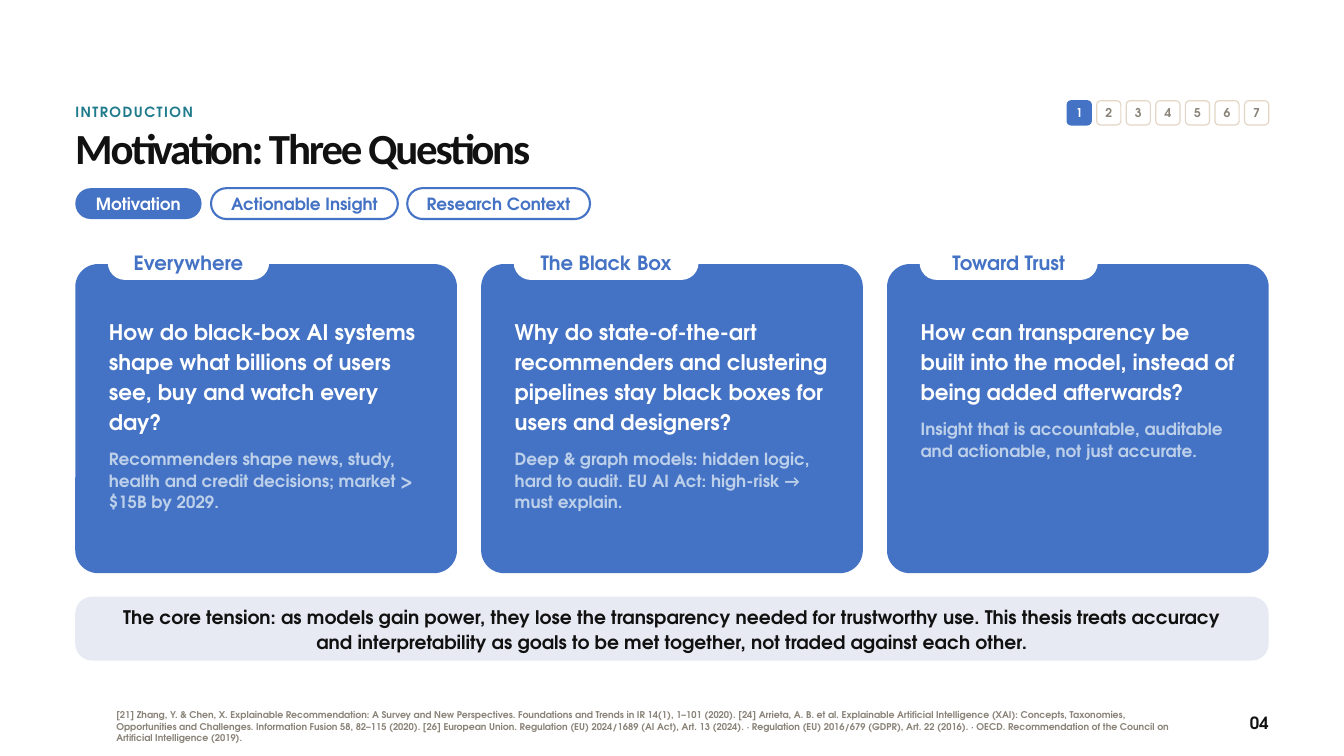
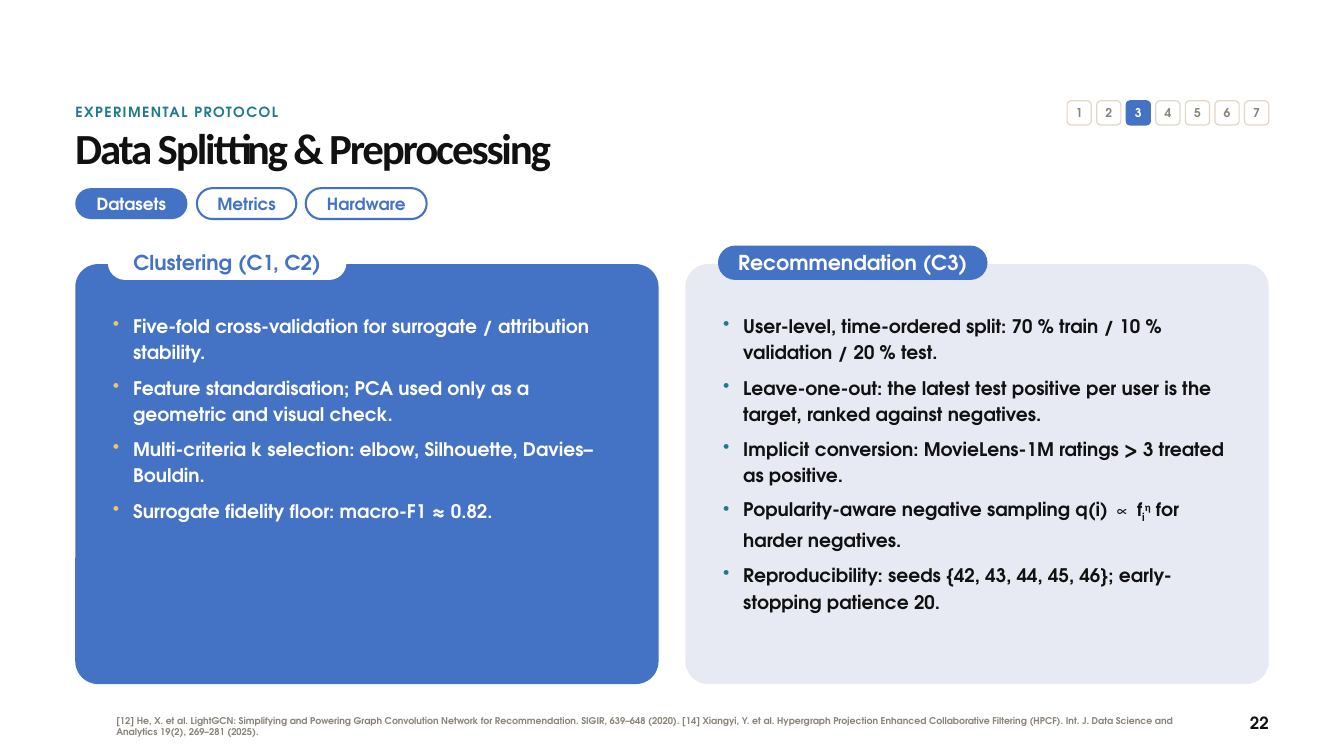
from lxml import etree
from pptx import Presentation
from pptx.dml.color import RGBColor
from pptx.enum.shapes import MSO_SHAPE
from pptx.enum.text import MSO_ANCHOR, PP_ALIGN
from pptx.oxml.ns import qn
from pptx.util import Inches, Pt

ROUNDED = MSO_SHAPE.ROUNDED_RECTANGLE
TOP, MIDDLE = MSO_ANCHOR.TOP, MSO_ANCHOR.MIDDLE
LEFT, CENTER, RIGHT = PP_ALIGN.LEFT, PP_ALIGN.CENTER, PP_ALIGN.RIGHT

BLUE = RGBColor(0x44, 0x72, 0xC4)
PALE = RGBColor(0xE7, 0xEA, 0xF3)
SKY = RGBColor(0xBD, 0xD0, 0xEA)
TEAL = RGBColor(0x1F, 0x7A, 0x8C)
GOLD = RGBColor(0xEC, 0xC6, 0x65)
SAND = RGBColor(0xE3, 0xD6, 0xC4)
GREY = RGBColor(0x8A, 0x83, 0x78)
INK = RGBColor(0x11, 0x11, 0x11)
WHITE = RGBColor(0xFF, 0xFF, 0xFF)

BODY, HEADING, MATH = "TeX Gyre Adventor", "Calibri", "Times New Roman"

SLIDE_W, SLIDE_H = 20, 11.25
MARGIN = 1.12
CONTENT_W = SLIDE_W - 2 * MARGIN
RIGHT_EDGE = SLIDE_W - MARGIN
CARD_TOP, CARD_RADIUS = 3.93, 0.34
CARD_INSET = 0.5
TAB_RISE, TAB_H = 0.26, 0.48
CHIP_TOP, CHIP_H, CHIP_GAP = 2.8, 0.46, 0.14
STEP_SIZE, STEP_PITCH, STEP_COUNT = 0.36, 0.44, 7

QUESTIONS = [
    ("Everywhere", 2.37,
     "How do black-box AI systems shape what billions of users see, buy and watch every day?",
     "Recommenders shape news, study, health and credit decisions; market > $15B by 2029."),
    ("The Black Box", 2.72,
     "Why do state-of-the-art recommenders and clustering pipelines stay black boxes "
     "for users and designers?",
     [("Deep & graph models: hidden logic, hard to audit. EU AI Act: high-risk ", BODY, 0),
      ("→ ", HEADING, 0), ("must explain.", BODY, 0)]),
    ("Toward Trust", 2.62,
     "How can transparency be built into the model, instead of being added afterwards?",
     "Insight that is accountable, auditable and actionable, not just accurate."),
]
CORE_TENSION = (
    "The core tension: as models gain power, they lose the transparency needed for "
    "trustworthy use. This thesis treats accuracy and interpretability as goals to be "
    "met together, not traded against each other.")
MOTIVATION_SOURCES = (
    "[21] Zhang, Y. & Chen, X. Explainable Recommendation: A Survey and New Perspectives. "
    "Foundations and Trends in IR 14(1), 1–101 (2020). [24] Arrieta, A. B. et al. "
    "Explainable Artificial Intelligence (XAI): Concepts, Taxonomies, Opportunities and "
    "Challenges. Information Fusion 58, 82–115 (2020). [26] European Union. Regulation "
    "(EU) 2024/1689 (AI Act), Art. 13 (2024). · Regulation (EU) 2016/679 (GDPR), "
    "Art. 22 (2016). · OECD. Recommendation of the Council on Artificial "
    "Intelligence (2019).")

CLUSTERING = [
    "Five-fold cross-validation for surrogate / attribution stability.",
    "Feature standardisation; PCA used only as a geometric and visual check.",
    "Multi-criteria k selection: elbow, Silhouette, Davies–Bouldin.",
    "Surrogate fidelity floor: macro-F1 ≈ 0.82.",
]
RECOMMENDATION = [
    "User-level, time-ordered split: 70 % train / 10 % validation / 20 % test.",
    "Leave-one-out: the latest test positive per user is the target, ranked against negatives.",
    "Implicit conversion: MovieLens-1M ratings > 3 treated as positive.",
    [("Popularity-aware negative sampling q(i) ", BODY, 0), ("∝ ", MATH, 0), ("f", BODY, 0),
     ("i", BODY, -25), ("η", HEADING, 30), (" for harder negatives.", BODY, 0)],
    "Reproducibility: seeds {42, 43, 44, 45, 46}; early-stopping patience 20.",
]
PROTOCOLS = [
    ("Clustering (C1, C2)", 3.52, CLUSTERING, BLUE, WHITE, BLUE, WHITE, GOLD),
    ("Recommendation (C3)", 3.98, RECOMMENDATION, PALE, BLUE, WHITE, INK, TEAL),
]
SPLITTING_SOURCES = (
    "[12] He, X. et al. LightGCN: Simplifying and Powering Graph Convolution Network for "
    "Recommendation. SIGIR, 639–648 (2020). [14] Xiangyi, Y. et al. Hypergraph Projection "
    "Enhanced Collaborative Filtering (HPCF). Int. J. Data Science and Analytics 19(2), "
    "269–281 (2025).")


def set_frame(shape, anchor, inset_x=0, inset_y=0):
    """Wrap the text of a shape and fix its anchor and insets."""
    frame = shape.text_frame
    frame.word_wrap = True
    frame.vertical_anchor = anchor
    frame.margin_left = frame.margin_right = Inches(inset_x)
    frame.margin_top = frame.margin_bottom = Inches(inset_y)
    return shape


def text_area(slide, left, top, width, height, anchor=TOP):
    """Add an empty text box without insets."""
    box = slide.shapes.add_textbox(*map(Inches, (left, top, width, height)))
    return set_frame(box, anchor)


def panel(slide, left, top, width, height, radius, fill=None, edge=None, weight=2.25,
          inset_x=0.05, inset_y=0):
    """Add a rounded rectangle whose corner radius is given in inches."""
    shape = slide.shapes.add_shape(ROUNDED, *map(Inches, (left, top, width, height)))
    shape.adjustments[0] = radius / min(width, height)
    shape.shadow.inherit = False
    if fill is None:
        shape.fill.background()
    else:
        shape.fill.solid()
        shape.fill.fore_color.rgb = fill
    if edge is None:
        shape.line.fill.background()
    else:
        shape.line.color.rgb = edge
        shape.line.width = Pt(weight)
    return set_frame(shape, MIDDLE, inset_x, inset_y)


def add_bullet(paragraph, color):
    """Give a paragraph a hanging coloured bullet."""
    properties = paragraph._p.get_or_add_pPr()
    properties.set("marL", str(Inches(0.3)))
    properties.set("indent", str(-Inches(0.3)))
    tint = etree.SubElement(properties, qn("a:buClr"))
    etree.SubElement(tint, qn("a:srgbClr"), val=str(color))
    etree.SubElement(properties, qn("a:buChar"), char="•")


def write(shape, text, size, color, leading, font=BODY, align=LEFT, before=0, tracking=0,
          bullet=None):
    """Append a paragraph given as a string or as (text, font, baseline) pieces."""
    frame = shape.text_frame
    paragraph = frame.paragraphs[0]
    if paragraph.runs:
        paragraph = frame.add_paragraph()
        paragraph.space_before = Pt(before)
    if bullet is not None:
        add_bullet(paragraph, bullet)
    paragraph.alignment = align
    paragraph.line_spacing = Pt(leading)
    pieces = [(text, font, 0)] if isinstance(text, str) else text
    for words, face, baseline in pieces:
        run = paragraph.add_run()
        run.text = words
        run.font.name = face
        run.font.size = Pt(size)
        run.font.bold = True
        run.font.color.rgb = color
        properties = run._r.get_or_add_rPr()
        if tracking:
            properties.set("spc", str(round(tracking * 100)))
        if baseline:
            properties.set("baseline", str(baseline * 1000))


def columns(count, gap):
    """Return the left edges and the width of equal columns across the content."""
    width = (CONTENT_W - gap * (count - 1)) / count
    return [MARGIN + i * (width + gap) for i in range(count)], width


def add_steps(slide, current):
    """Draw the numbered section squares at the top right."""
    start = RIGHT_EDGE - STEP_SIZE - STEP_PITCH * (STEP_COUNT - 1)
    for number in range(1, STEP_COUNT + 1):
        fill, edge, ink = (BLUE, BLUE, WHITE) if number == current else (WHITE, SAND, GREY)
        step = panel(slide, start + (number - 1) * STEP_PITCH, 1.5, STEP_SIZE, STEP_SIZE,
                     0.06, fill, edge, weight=1.25, inset_x=0)
        write(step, str(number), 13, ink, 15, align=CENTER)


def add_chips(slide, chips):
    """Draw the topic chips in a row with the first one active."""
    left = MARGIN
    for index, (label, width) in enumerate(chips):
        fill, edge, ink = (None, BLUE, BLUE) if index else (BLUE, None, WHITE)
        chip = panel(slide, left, CHIP_TOP, width, CHIP_H, CHIP_H / 2, fill, edge)
        write(chip, label, 18, ink, 21.6, align=CENTER)
        left += width + CHIP_GAP


def add_card(slide, left, width, height, label, tab_width, size, fill, tab_fill, tab_ink):
    """Draw a card with a label tab over its top edge."""
    panel(slide, left, CARD_TOP, width, height, CARD_RADIUS, fill)
    tab = panel(slide, left + CARD_INSET, CARD_TOP - TAB_RISE, tab_width, TAB_H, TAB_H / 2,
                tab_fill, tab_fill)
    write(tab, label, size, tab_ink, size * 1.2, align=CENTER)


def start_slide(deck, section, title, step, chips, sources, page):
    """Add a slide with the shared header and footer."""
    slide = deck.slides.add_slide(deck.slide_layouts[6])
    write(text_area(slide, 1.73, 10.5, 15.85, 0.62, MIDDLE), sources, 10, GREY, 12)
    write(text_area(slide, RIGHT_EDGE - 1.2, 10.6, 1.2, 0.36), page, 18, INK, 22, align=RIGHT)
    write(text_area(slide, MARGIN, 1.52, 14.15, 0.36), section, 15, TEAL, 20, tracking=1.6)
    add_steps(slide, step)
    write(text_area(slide, MARGIN, 1.88, CONTENT_W, 0.8), title, 46, INK, 50.6,
          font=HEADING, tracking=-2.3)
    add_chips(slide, chips)
    return slide


def motivation_slide(deck):
    """Build the slide with three questions and the core tension."""
    chips = [("Motivation", 1.88), ("Actionable Insight", 2.78), ("Research Context", 2.72)]
    slide = start_slide(deck, "INTRODUCTION", "Motivation: Three Questions", 1, chips,
                        MOTIVATION_SOURCES, "04")
    lefts, width = columns(3, 0.36)
    for left, (label, tab_width, question, context) in zip(lefts, QUESTIONS):
        add_card(slide, left, width, 4.6, label, tab_width, 21, BLUE, WHITE, BLUE)
        body = text_area(slide, left + CARD_INSET, CARD_TOP + 0.75, width - 2 * CARD_INSET, 3.45)
        write(body, question, 23, WHITE, 32.2)
        write(body, context, 18, SKY, 23, before=14)
    tension = panel(slide, MARGIN, 8.88, CONTENT_W, 0.95, 0.25, PALE, inset_x=0.4, inset_y=0.1)
    write(tension, CORE_TENSION, 20, INK, 26, align=CENTER)


def splitting_slide(deck):
    """Build the slide with the clustering and recommendation protocols."""
    chips = [("Datasets", 1.67), ("Metrics", 1.48), ("Hardware", 1.8)]
    slide = start_slide(deck, "EXPERIMENTAL PROTOCOL", "Data Splitting & Preprocessing", 3,
                        chips, SPLITTING_SOURCES, "22")
    lefts, width = columns(2, 0.4)
    for left, protocol in zip(lefts, PROTOCOLS):
        label, tab_width, rules, fill, tab_fill, tab_ink, ink, bullet = protocol
        add_card(slide, left, width, 6.25, label, tab_width, 22, fill, tab_fill, tab_ink)
        body = text_area(slide, left + 0.56, CARD_TOP + 0.7, width - 1.06, 5.25)
        for rule in rules:
            leading = 28 if isinstance(rule, str) else 29.6
            write(body, rule, 20, ink, leading, before=10, bullet=bullet)


def main():
    """Build the deck and save it."""
    deck = Presentation()
    deck.slide_width, deck.slide_height = Inches(SLIDE_W), Inches(SLIDE_H)
    motivation_slide(deck)
    splitting_slide(deck)
    deck.save("out.pptx")


if __name__ == "__main__":
    main()
